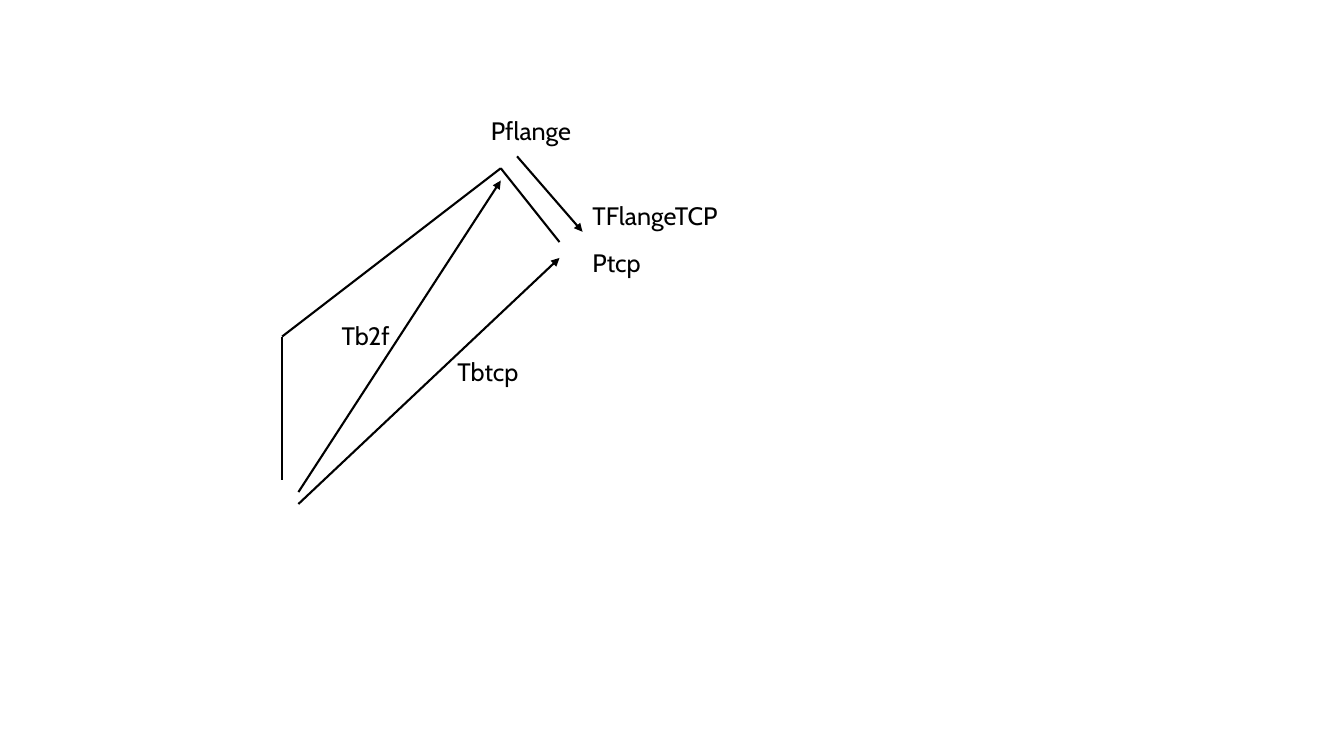
from lxml import etree
from pptx import Presentation
from pptx.dml.color import RGBColor
from pptx.enum.shapes import MSO_CONNECTOR
from pptx.enum.text import MSO_AUTO_SIZE
from pptx.oxml.ns import qn
from pptx.util import Cm, Pt

STRAIGHT = MSO_CONNECTOR.STRAIGHT
FIT_SHAPE = MSO_AUTO_SIZE.SHAPE_TO_FIT_TEXT


class FrameDiagram:
    """Draws the links, transforms and labels of a robot arm on one slide."""

    colours = {"ink": "000000"}
    font = "Cabin"
    font_size = Pt(18)
    line_width = Pt(1.5)
    label_height = Cm(1.02)

    def __init__(self, slide):
        self.slide = slide

    def colour(self, key):
        return RGBColor.from_string(self.colours[key])

    def link(self, start, end):
        segment = self.slide.shapes.add_connector(
            STRAIGHT, *(Cm(value) for value in (*start, *end)))
        segment.line.color.rgb = self.colour("ink")
        segment.line.width = self.line_width
        etree.SubElement(segment._element.spPr, qn("a:effectLst"))
        return segment

    def transform(self, start, end):
        arrow = self.link(start, end)
        etree.SubElement(arrow.line._get_or_add_ln(), qn("a:tailEnd"), type="triangle")

    def label(self, wording, left, top, width):
        box = self.slide.shapes.add_textbox(Cm(left), Cm(top), Cm(width), self.label_height)
        frame = box.text_frame
        frame.word_wrap = False
        frame.auto_size = FIT_SHAPE
        run = frame.paragraphs[0].add_run()
        run.text = wording
        run.font.name = self.font
        run.font.size = self.font_size
        run.font.color.rgb = self.colour("ink")


def main():
    deck = Presentation()
    deck.slide_width, deck.slide_height = Cm(33.87), Cm(19.05)
    diagram = FrameDiagram(deck.slides.add_slide(deck.slide_layouts[6]))

    base, elbow, flange, tcp = (7.11, 12.09), (7.11, 8.48), (12.62, 4.24), (14.1, 6.1)
    arm = [base, elbow, flange, tcp]
    for start, end in zip(arm, arm[1:]):
        diagram.link(start, end)

    transforms = [
        ((7.52, 12.4), (12.62, 4.55)),
        ((7.52, 12.7), (14.1, 6.5)),
        ((13.03, 3.94), (14.68, 5.84)),
    ]
    for start, end in transforms:
        diagram.transform(start, end)

    labels = [
        ("Tb2f", 8.36, 7.95, 1.73),
        ("Tbtcp", 11.28, 8.86, 2.08),
        ("TFlangeTCP", 14.68, 4.93, 3.71),
        ("Ptcp", 14.68, 6.1, 1.78),
        ("Pflange", 12.12, 2.77, 2.59),
    ]
    for label in labels:
        diagram.label(*label)

    deck.save("out.pptx")


if __name__ == "__main__":
    main()
